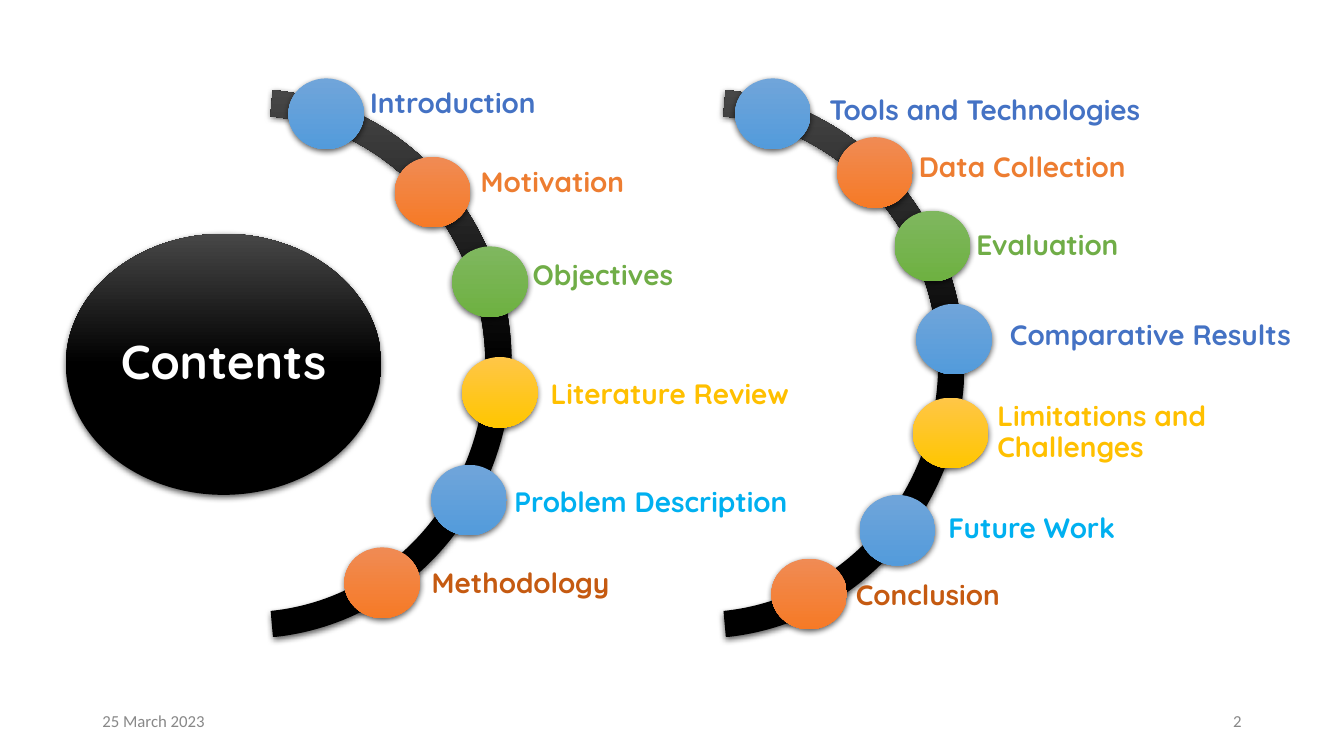
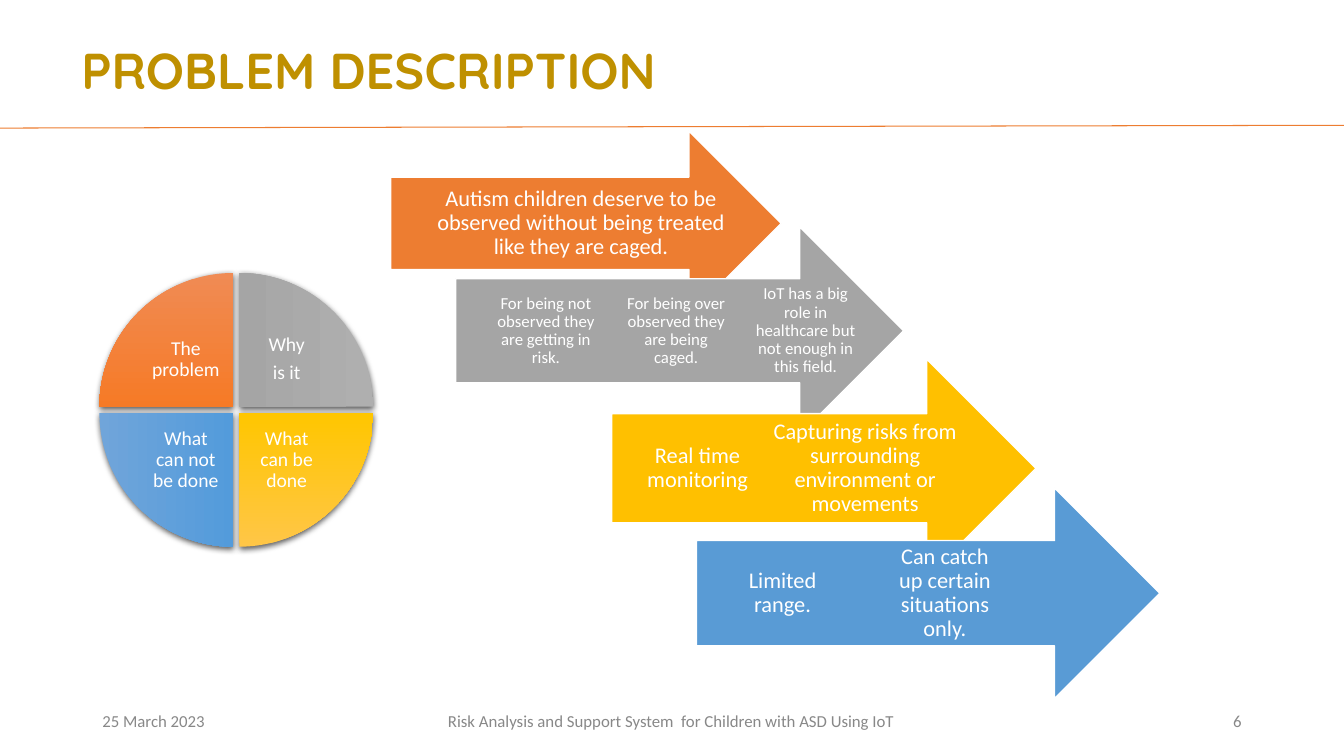
from dataclasses import dataclass

from lxml import etree
from pptx import Presentation
from pptx.dml.color import RGBColor
from pptx.enum.shapes import MSO_CONNECTOR, MSO_SHAPE
from pptx.enum.text import MSO_ANCHOR, PP_ALIGN
from pptx.oxml.ns import qn
from pptx.util import Pt

OVAL, ARC = MSO_SHAPE.OVAL, MSO_SHAPE.BLOCK_ARC
WEDGE, ARROW = MSO_SHAPE.PIE_WEDGE, MSO_SHAPE.RIGHT_ARROW
LEFT, CENTER, RIGHT = PP_ALIGN.LEFT, PP_ALIGN.CENTER, PP_ALIGN.RIGHT
TOP, MIDDLE = MSO_ANCHOR.TOP, MSO_ANCHOR.MIDDLE
STRAIGHT = MSO_CONNECTOR.STRAIGHT


@dataclass(frozen=True)
class Theme:
    display: str = "Quicksand"
    body: str = "Calibri"
    white: str = "FFFFFF"
    title: str = "BF9000"
    rule: str = "ED7D31"
    footer: str = "888888"
    title_size: int = 36
    hub_size: int = 34
    topic_size: int = 20
    caption_size: int = 16
    wedge_size: int = 14
    small_size: int = 12
    black: tuple = ((50, "000000"), (100, "474747"))
    blue: tuple = ((0, "70A5DA"), (100, "539BDB"))
    orange: tuple = ((0, "F08B54"), (100, "F67A26"))
    green: tuple = ((0, "7FB75F"), (100, "6EB141"))
    gold: tuple = ((0, "FFC647"), (100, "FFC600"))
    gray: tuple = ((0, "AFAFAF"), (100, "A5A5A5"))


THEME = Theme()
DATE = "25 March 2023"
PROJECT = "Risk Analysis and Support System  for Children with ASD Using IoT"

TONES = {
    "blue": ("4472C4", THEME.blue),
    "orange": ("ED7D31", THEME.orange),
    "green": ("70AD47", THEME.green),
    "gold": ("FFC000", THEME.gold),
    "sky": ("00B0F0", THEME.blue),
    "rust": ("C55A11", THEME.orange),
}
HUB = ("Contents", (47, 167, 225.5, 186.5))
ARC_LEFTS = (-11, 312.5)
DOT_SIZE = (54, 50.5)
TOPIC_SIZE = (236, 36.5)
TOPICS = [
    ("Introduction", "blue", (206, 56), (262, 56)),
    ("Motivation", "orange", (282, 112), (341, 113)),
    ("Objectives", "green", (323, 176), (378, 179)),
    ("Literature Review", "gold", (330, 255), (391, 264)),
    ("Problem Description", "sky", (308, 332), (365, 341)),
    ("Methodology", "rust", (246, 391), (306, 399)),
    ("Tools and Technologies", "blue", (525, 56), (590, 61)),
    ("Data Collection", "orange", (598, 98), (654, 102)),
    ("Evaluation", "green", (639, 150.5), (695, 158)),
    ("Comparative Results", "blue", (654.5, 217), (719, 222)),
    ("Limitations and Challenges", "gold", (652, 284), (710, 291)),
    ("Future Work", "sky", (614, 353.5), (675, 360)),
    ("Conclusion", "rust", (551, 399), (609, 408)),
]

WHEEL_LEFT, WHEEL_TOP, WEDGE_SIDE, WEDGE_STEP = 71, 195, 95.5, 100
WEDGE_TEXT = 67.5
WEDGES = [
    (["The problem"], 0, 0, THEME.orange),
    (["Why", "is it"], 1, 0, THEME.gray),
    (["What can be done"], 1, 1, THEME.gold),
    (["What can not be done"], 0, 1, THEME.blue),
]
ARROWS = [
    ("ED7D31", (279, 93.5, 279, 132), THEME.caption_size, [
        ("Autism children deserve to be observed without being treated like they are caged.", 301, 228),
    ]),
    ("A5A5A5", (325.5, 162, 320, 148.5), THEME.small_size, [
        ("For being not observed they are getting in risk.", 351.5, 77),
        ("For being over observed they are being caged.", 444.5, 77),
        ("IoT has a big role in healthcare but not enough in this field.", 537, 77),
    ]),
    ("FFC000", (437, 256.5, 303, 156), THEME.caption_size, [
        ("Real time monitoring", 461.5, 73.5),
        ("Capturing risks from surrounding environment or movements", 538, 160),
    ]),
    ("599BD5", (497.5, 348.5, 331, 150.5), THEME.caption_size, [
        ("Limited range.", 519, 80),
        ("Can catch up certain situations only.", 635, 80),
    ]),
]


def rgb(value):
    return RGBColor.from_string(value)


def add_text(page, frame, lines, size, color, font=THEME.body, bold=False,
             align=LEFT, anchor=MIDDLE, inset=(0, 0), spacing=None, gap=0):
    box = page.shapes.add_textbox(*map(Pt, frame))
    text = box.text_frame
    text.word_wrap = True
    text.vertical_anchor = anchor
    text.margin_left = text.margin_right = Pt(inset[0])
    text.margin_top = text.margin_bottom = Pt(inset[1])
    for index, line in enumerate(lines):
        para = text.paragraphs[0] if index == 0 else text.add_paragraph()
        para.alignment = align
        if spacing:
            para.line_spacing = spacing
        if index:
            para.space_before = Pt(gap)
        span = para.add_run()
        span.text = line
        span.font.name = font
        span.font.size = Pt(size)
        span.font.bold = bold
        span.font.color.rgb = rgb(color)
    return box


def add_glossy(page, kind, frame, stops, angle=270):
    shape = page.shapes.add_shape(kind, *map(Pt, frame))
    shape.fill.gradient()
    shape.fill.gradient_angle = angle
    for stop, (position, color) in zip(shape.fill.gradient_stops, stops):
        stop.position = position / 100
        stop.color.rgb = rgb(color)
    shape.line.fill.background()
    shape.shadow.inherit = False
    effects = shape._element.spPr.find(qn("a:effectLst"))
    shadow = etree.SubElement(
        effects, qn("a:outerShdw"), blurRad=str(Pt(4.5)), dist=str(Pt(1.5)),
        dir="5400000", algn="ctr", rotWithShape="0")
    tint = etree.SubElement(shadow, qn("a:srgbClr"), val="000000")
    etree.SubElement(tint, qn("a:alpha"), val="63000")
    return shape


def add_page(deck, number, project=None):
    page = deck.slides.add_slide(deck.slide_layouts[6])
    footers = [(DATE, 66, 216, LEFT), (number, 678, 216, RIGHT)]
    if project:
        footers.append((project, 294.5, 370, CENTER))
    for line, left, width, align in footers:
        add_text(page, (left, 500.5, width, 29), [line], THEME.small_size,
                 THEME.footer, align=align, inset=(7.2, 3.6))
    return page


def add_title(page, title):
    add_text(page, (51, 24.5, 796, 50.5), [title], THEME.title_size, THEME.title,
             THEME.display, True, anchor=TOP, inset=(7.2, 3.6))
    rule = page.shapes.add_connector(STRAIGHT, Pt(0), Pt(91.5), Pt(960), Pt(89.5))
    rule.line.color.rgb = rgb(THEME.rule)
    rule.line.width = Pt(0.75)
    etree.SubElement(rule._element.spPr, qn("a:effectLst"))


def build_contents(deck):
    page = add_page(deck, "2")
    label, frame = HUB
    add_glossy(page, OVAL, frame, THEME.black, 90)
    add_text(page, frame, [label], THEME.hub_size, THEME.white, THEME.display, True,
             CENTER, spacing=0.9)
    for left in ARC_LEFTS:
        arc = add_glossy(page, ARC, (left, 63.5, 376.5, 392.5), THEME.black, 90)
        for index, value in enumerate((165.09, 50.88, 0.05)):
            arc.adjustments[index] = value
    for topic, tone, dot_at, label_at in TOPICS:
        color, stops = TONES[tone]
        add_glossy(page, OVAL, dot_at + DOT_SIZE, stops)
        add_text(page, label_at + TOPIC_SIZE, [topic], THEME.topic_size, color,
                 THEME.display, True, inset=(2.4, 2.4), spacing=0.9)


def build_problem(deck):
    page = add_page(deck, "6", PROJECT)
    add_title(page, "PROBLEM DESCRIPTION")
    for turn, (lines, column, row, stops) in enumerate(WEDGES):
        left = WHEEL_LEFT + column * WEDGE_STEP
        top = WHEEL_TOP + row * WEDGE_STEP
        wedge = add_glossy(page, WEDGE, (left, top, WEDGE_SIDE, WEDGE_SIDE), stops)
        wedge.rotation = 90 * turn
        shift = WEDGE_SIDE - WEDGE_TEXT
        frame = (left + (1 - column) * shift, top + (1 - row) * shift, WEDGE_TEXT, WEDGE_TEXT)
        add_text(page, frame, lines, THEME.wedge_size, THEME.white, align=CENTER,
                 inset=(8, 8), spacing=0.9, gap=4.9)
    for color, frame, size, captions in ARROWS:
        arrow = page.shapes.add_shape(ARROW, *map(Pt, frame))
        arrow.fill.solid()
        arrow.fill.fore_color.rgb = rgb(color)
        arrow.line.color.rgb = rgb(THEME.white)
        arrow.line.width = Pt(1)
        arrow.shadow.inherit = False
        top, height = frame[1], frame[3]
        for caption, left, width in captions:
            add_text(page, (left, top + height / 4, width, height / 2), [caption],
                     size, THEME.white, align=CENTER, spacing=0.9)


def main():
    deck = Presentation()
    deck.slide_width, deck.slide_height = Pt(960), Pt(540)
    build_contents(deck)
    build_problem(deck)
    deck.save("out.pptx")


if __name__ == "__main__":
    main()
